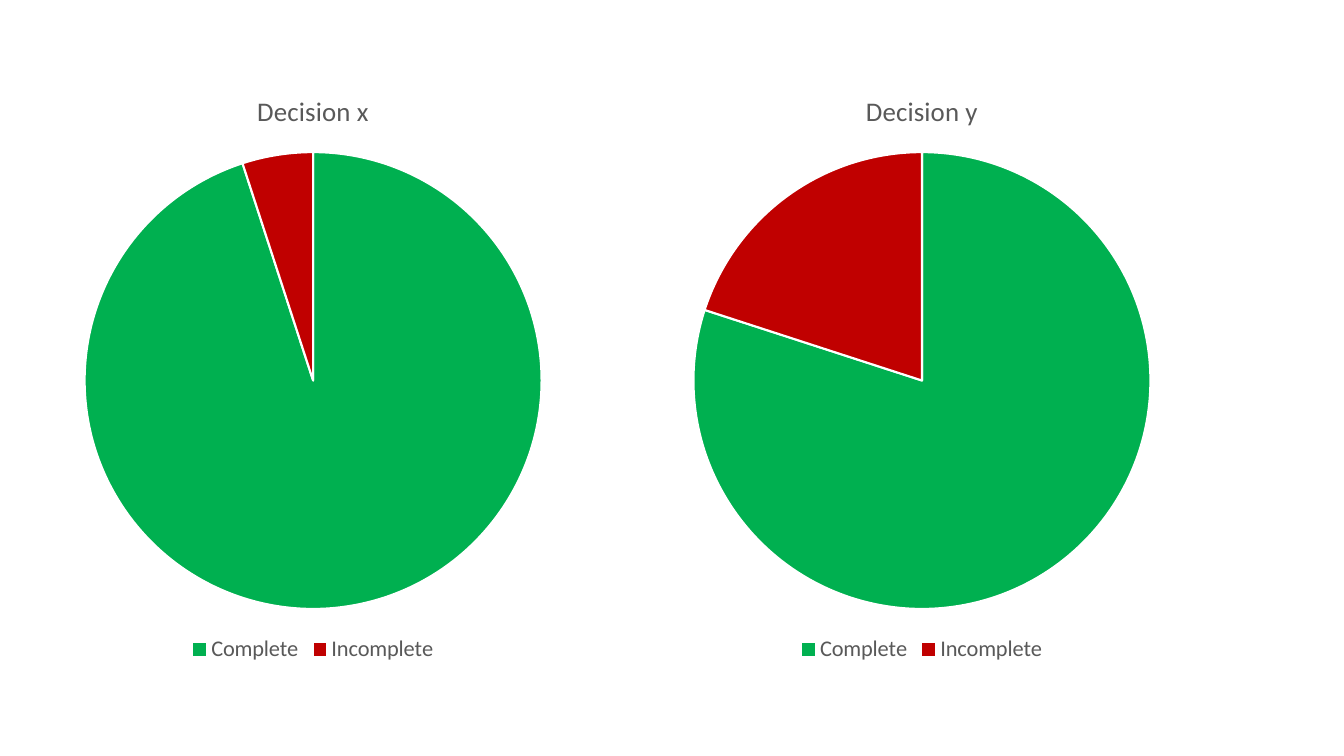
from dataclasses import dataclass

from lxml import etree
from pptx import Presentation
from pptx.chart.data import CategoryChartData
from pptx.dml.color import RGBColor
from pptx.enum.chart import XL_CHART_TYPE, XL_LEGEND_POSITION
from pptx.util import Inches, Pt

PIE = XL_CHART_TYPE.PIE
BOTTOM = XL_LEGEND_POSITION.BOTTOM
NS = "http://schemas.openxmlformats.org/drawingml/2006/chart"


@dataclass(frozen=True)
class Theme:
    face: str = "Calibri"
    text: str = "595959"
    edge: str = "FFFFFF"
    done: str = "00B050"
    todo: str = "C00000"
    head: float = 19.2
    body: float = 16
    rule: float = 1.5


class Deck:
    def __init__(self, theme):
        self.theme = theme
        self.prs = Presentation()
        self.prs.slide_width = Inches(13.33)
        self.prs.slide_height = Inches(7.5)
        self.slide = self.prs.slides.add_slide(self.prs.slide_layouts[6])

    def style(self, font, size):
        look = {"name": self.theme.face, "size": Pt(size), "bold": False}
        for key, value in look.items():
            setattr(font, key, value)
        font.color.rgb = RGBColor.from_string(self.theme.text)

    def frame(self, chart, box):
        """Fix the inner plot area as shares of the chart's size."""
        area = chart._chartSpace.chart.plotArea
        for old in area.findall(f"{{{NS}}}layout"):
            area.remove(old)
        layout = etree.Element(f"{{{NS}}}layout")
        manual = etree.SubElement(layout, f"{{{NS}}}manualLayout")
        rules = {"layoutTarget": "inner", "xMode": "edge", "yMode": "edge"}
        rules.update(zip("xywh", map(str, box)))
        for key, value in rules.items():
            etree.SubElement(manual, f"{{{NS}}}{key}", val=value)
        area.insert(0, layout)

    def pie(self, title, parts, box):
        """Draw a titled pie; parts maps a label to its value and colour."""
        data = CategoryChartData()
        data.categories = list(parts)
        data.add_series("Series 1", [value for value, _ in parts.values()])
        wide, high = self.prs.slide_width, self.prs.slide_height
        place = [int(share * side)
                 for share, side in zip(box, (wide, high, wide, high))]
        chart = self.slide.shapes.add_chart(PIE, *place, data).chart
        self.style(chart.font, self.theme.body)

        chart.has_title = True
        chart.chart_title.include_in_layout = False
        para = chart.chart_title.text_frame.paragraphs[0]
        run = para.add_run()
        run.text = title
        self.style(run.font, self.theme.head)

        chart.has_legend = True
        for key, value in {"position": BOTTOM,
                           "include_in_layout": False}.items():
            setattr(chart.legend, key, value)
        self.style(chart.legend.font, self.theme.body)

        plot = chart.plots[0]
        plot.vary_by_categories = True
        for i, (_, color) in enumerate(parts.values()):
            form = plot.series[0].points[i].format
            form.fill.solid()
            form.fill.fore_color.rgb = RGBColor.from_string(color)
            form.line.color.rgb = RGBColor.from_string(self.theme.edge)
            form.line.width = Pt(self.theme.rule)
        self.frame(chart, (0.15, 0.137, 0.7, 0.765))


def main():
    theme = Theme()
    deck = Deck(theme)
    left, step = -0.01, 0.453
    shares = {"Decision x": 95, "Decision y": 80}
    for col, (title, done) in enumerate(shares.items()):
        parts = {"Complete": (done, theme.done),
                 "Incomplete": (100 - done, theme.todo)}
        deck.pie(title, parts, (left + col * step, 0.093, 0.486, 0.79))
    deck.prs.save("out.pptx")


if __name__ == "__main__":
    main()
